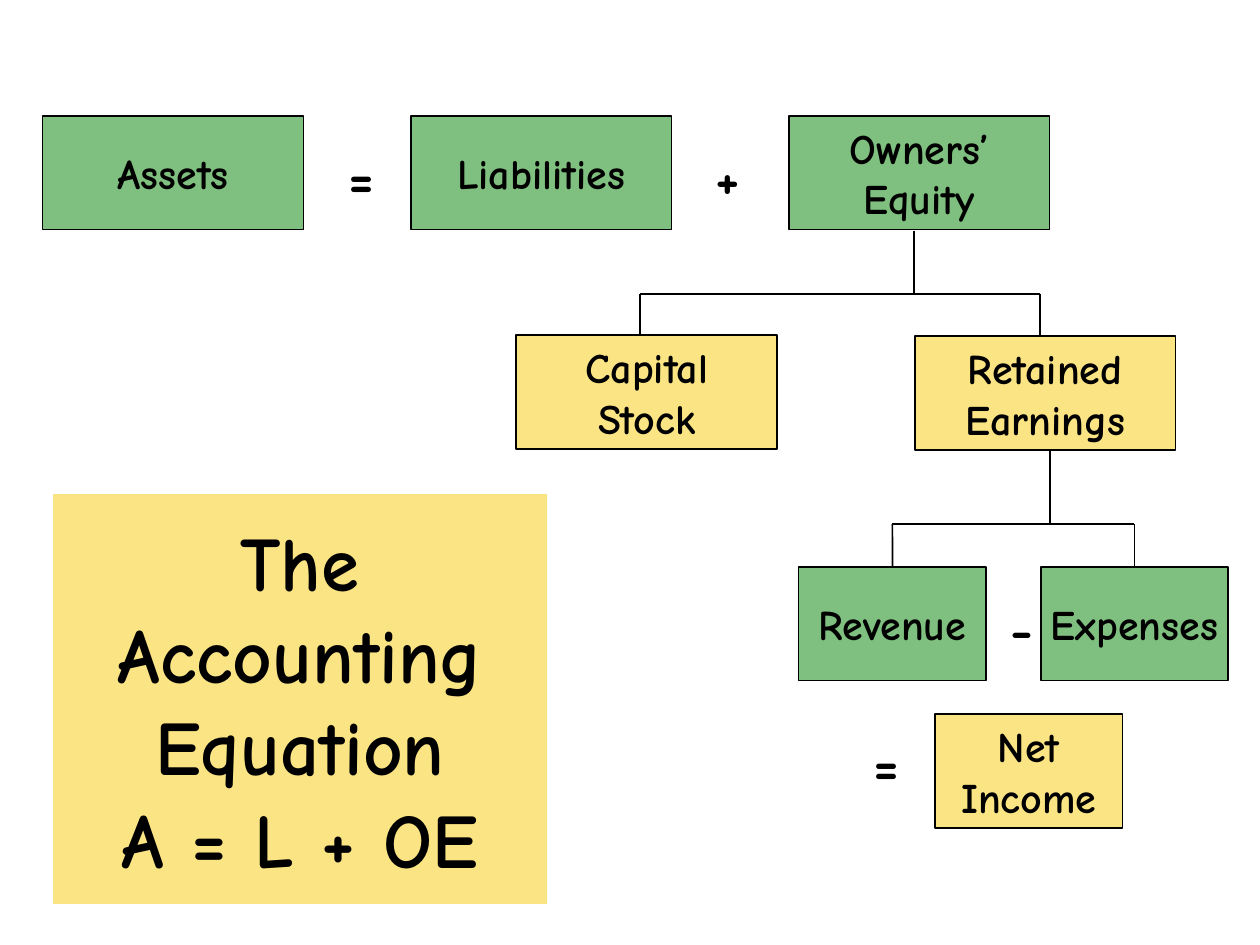
from dataclasses import dataclass

from lxml import etree
from pptx import Presentation
from pptx.dml.color import RGBColor
from pptx.enum.shapes import MSO_CONNECTOR, MSO_SHAPE
from pptx.enum.text import MSO_ANCHOR, MSO_AUTO_SIZE, PP_ALIGN
from pptx.oxml.ns import qn
from pptx.shapes.autoshape import Shape
from pptx.shapes.connector import Connector
from pptx.slide import Slide
from pptx.text.text import TextFrame
from pptx.util import Cm, Pt

RECTANGLE = MSO_SHAPE.RECTANGLE
STRAIGHT = MSO_CONNECTOR.STRAIGHT
MIDDLE = MSO_ANCHOR.MIDDLE
CENTER = PP_ALIGN.CENTER
LEFT = PP_ALIGN.LEFT
NO_FIT = MSO_AUTO_SIZE.NONE
GROW = MSO_AUTO_SIZE.SHAPE_TO_FIT_TEXT
TOP_SIDE = 0
TITLE_ONLY = 5


@dataclass(frozen=True)
class Theme:
    font: str = "Comic Neue"
    ink: RGBColor = RGBColor(0x00, 0x00, 0x00)
    green: RGBColor = RGBColor(0x00, 0x80, 0x00)
    yellow: RGBColor = RGBColor(0xF8, 0xCB, 0x0A)
    opacity: int = 50
    title_size: int = 44
    account_size: int = 24
    operator_size: int = 32
    line_width: int = 1


THEME = Theme()
WIDE, NARROW, ACCOUNT_HEIGHT = 5.26, 3.78, 2.29


@dataclass(frozen=True)
class Account:
    lines: tuple[str, ...]
    left: float
    top: float
    width: float
    color: RGBColor


@dataclass(frozen=True)
class Operator:
    sign: str
    left: float
    top: float


@dataclass(frozen=True)
class Fork:
    stem_x: float
    stem_top: float
    bar_y: float
    branch_xs: tuple[float, float]
    branch_end: float
    joined: tuple[str, ...] = ()


ACCOUNTS = (
    Account(("Assets",), 0.86, 2.34, WIDE, THEME.green),
    Account(("Liabilities",), 8.28, 2.34, WIDE, THEME.green),
    Account(("Owners’", "Equity"), 15.9, 2.34, WIDE, THEME.green),
    Account(("Capital", "Stock"), 10.41, 6.76, WIDE, THEME.yellow),
    Account(("Retained", "Earnings"), 18.44, 6.78, WIDE, THEME.yellow),
    Account(("Expenses",), 20.98, 11.43, NARROW, THEME.green),
    Account(("Revenue",), 16.1, 11.43, NARROW, THEME.green),
    Account(("Net", "Income"), 18.85, 14.4, NARROW, THEME.yellow),
)
OPERATORS = (
    Operator("=", 6.78, 2.74),
    Operator("+", 14.17, 2.74),
    Operator("-", 20.12, 11.84),
    Operator("=", 17.35, 14.58),
)
FORKS = (
    Fork(18.42, 4.65, 5.92, (12.9, 20.96), 6.76),
    Fork(21.16, 9.09, 10.57, (17.99, 22.87), 11.43, ("Revenue", "Expenses")),
)


def write(frame: TextFrame, lines: tuple[str, ...], size: int, align: PP_ALIGN) -> None:
    for index, line in enumerate(lines):
        paragraph = frame.paragraphs[0] if index == 0 else frame.add_paragraph()
        paragraph.alignment = align
        run = paragraph.add_run()
        run.text = line
        run.font.name = THEME.font
        run.font.size = Pt(size)
        run.font.bold = True
        run.font.color.rgb = THEME.ink


def tint(shape: Shape, color: RGBColor) -> None:
    shape.fill.solid()
    shape.fill.fore_color.rgb = color
    swatch = shape.fill._xPr.find(qn("a:solidFill"))[0]
    etree.SubElement(swatch, qn("a:alpha"), val=str(THEME.opacity * 1000))


def draw_title(slide: Slide) -> None:
    title = slide.shapes.title
    title.left, title.top, title.width, title.height = Cm(1.07), Cm(9.96), Cm(9.96), Cm(8.26)
    tint(title, THEME.yellow)
    frame = title.text_frame
    frame.word_wrap = True
    frame.auto_size = NO_FIT
    frame.vertical_anchor = MIDDLE
    write(frame, ("The Accounting Equation", "A = L + OE"), THEME.title_size, CENTER)


def draw_account(slide: Slide, account: Account) -> Shape:
    box = slide.shapes.add_shape(
        RECTANGLE, Cm(account.left), Cm(account.top), Cm(account.width), Cm(ACCOUNT_HEIGHT)
    )
    box.shadow.inherit = False
    tint(box, account.color)
    box.line.color.rgb = THEME.ink
    box.line.width = Pt(THEME.line_width)
    box.text_frame.word_wrap = False
    box.text_frame.vertical_anchor = MIDDLE
    write(box.text_frame, account.lines, THEME.account_size, CENTER)
    return box


def draw_operator(slide: Slide, operator: Operator) -> None:
    label = slide.shapes.add_textbox(Cm(operator.left), Cm(operator.top), Cm(1.07), Cm(1.6))
    label.text_frame.word_wrap = True
    label.text_frame.auto_size = GROW
    write(label.text_frame, (operator.sign,), THEME.operator_size, LEFT)


def draw_line(slide: Slide, x1: float, y1: float, x2: float, y2: float) -> Connector:
    line = slide.shapes.add_connector(STRAIGHT, Cm(x1), Cm(y1), Cm(x2), Cm(y2))
    line.line.color.rgb = THEME.ink
    line.line.width = Pt(THEME.line_width)
    etree.SubElement(line._element.spPr, qn("a:effectLst"))
    return line


def draw_fork(slide: Slide, fork: Fork, boxes: dict[str, Shape]) -> None:
    first, last = fork.branch_xs
    branches = [draw_line(slide, x, fork.bar_y, x, fork.branch_end) for x in fork.branch_xs]
    for branch, child in zip(branches, fork.joined):
        branch.end_connect(boxes[child], TOP_SIDE)
    draw_line(slide, first, fork.bar_y, last, fork.bar_y)
    draw_line(slide, fork.stem_x, fork.stem_top, fork.stem_x, fork.bar_y)


def main() -> None:
    presentation = Presentation()
    presentation.slide_width, presentation.slide_height = Cm(25.4), Cm(19.05)
    slide = presentation.slides.add_slide(presentation.slide_layouts[TITLE_ONLY])
    draw_title(slide)
    boxes = {" ".join(account.lines): draw_account(slide, account) for account in ACCOUNTS}
    for operator in OPERATORS:
        draw_operator(slide, operator)
    for fork in FORKS:
        draw_fork(slide, fork, boxes)
    presentation.save("out.pptx")


if __name__ == "__main__":
    main()
